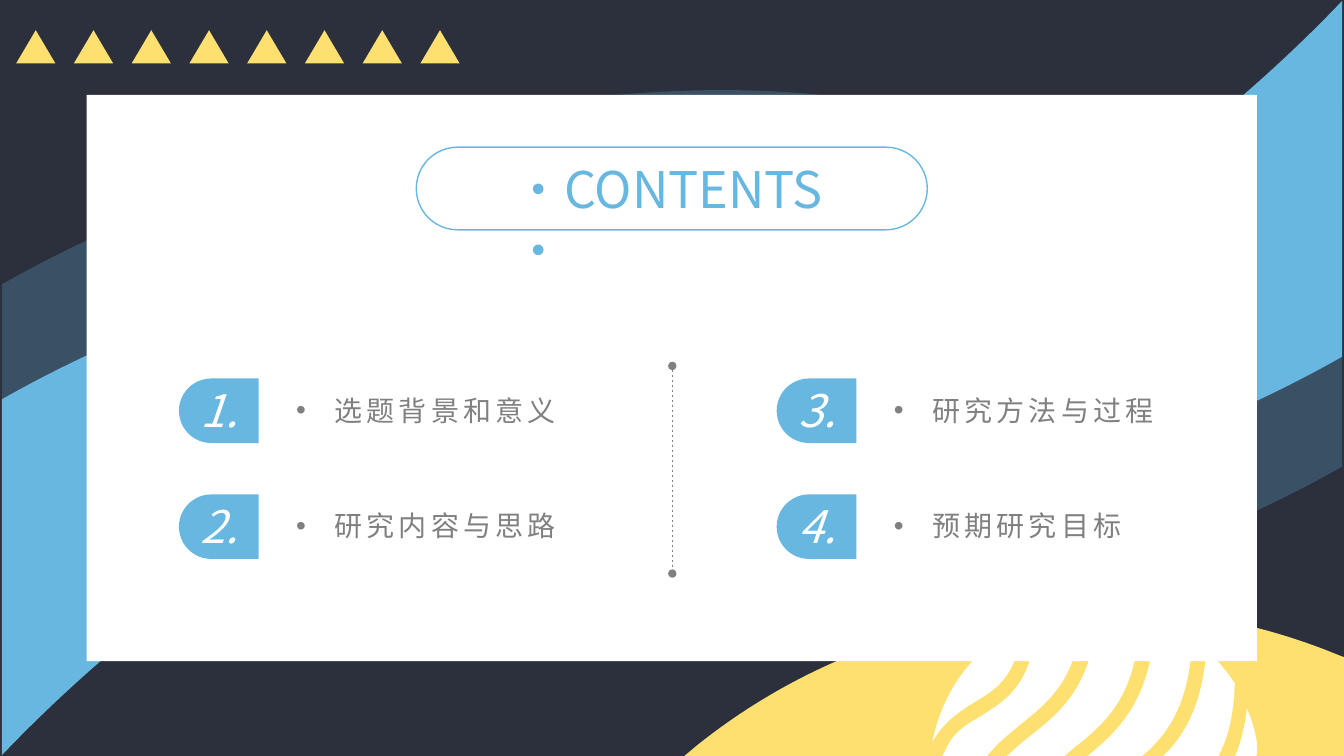
from lxml import etree
from pptx import Presentation
from pptx.dml.color import RGBColor
from pptx.enum.dml import MSO_LINE_DASH_STYLE as DASH
from pptx.enum.shapes import MSO_CONNECTOR as LINK, MSO_SHAPE as SHAPE
from pptx.enum.text import MSO_AUTO_SIZE as FIT, PP_ALIGN as ALIGN
from pptx.oxml.ns import qn
from pptx.util import Inches, Pt

DARK = RGBColor(0x2B, 0x30, 0x3C)
BLUE = RGBColor(0x68, 0xB7, 0xE1)
YELLOW = RGBColor(0xFE, 0xE0, 0x71)
WHITE = RGBColor(0xFF, 0xFF, 0xFF)
GREY = RGBColor(0x80, 0x80, 0x80)
WIDTH, HEIGHT = 40 / 3, 7.5

BAND_CENTER = (4.94, 4.76)
BAND = [(0, 3.97), (2.56, 2.51, 7.04, 1.37, 9.87, 2.5),
        (6.26, 2.94, 2.42, 4.96, 0, 7.5), (0, 3.97)]
HILL = [(WIDTH, 7.5), (6.79, 7.5), (6.91, 7.4), (7.98, 6.54, 9.36, 6.03, 10.86, 6.03),
        (11.72, 6.03, 12.53, 6.19, 13.28, 6.5), (WIDTH, 6.52)]
STRIPES = [
    [(9.25, 7.36), (9.35, 6.85, 9.67, 6.42, 10.13, 6.2),
     (10.1, 6.7, 9.9, 6.83, 9.66, 6.97), (9.52, 7.06, 9.36, 7.16, 9.25, 7.36)],
    [(9.79, 7.5), (9.35, 7.5), (9.41, 7.38), (9.49, 7.24, 9.62, 7.17, 9.74, 7.1),
     (9.99, 6.94, 10.27, 6.77, 10.27, 6.13), (10.42, 6.08, 10.58, 6.04, 10.74, 6.03),
     (10.7, 6.73, 10.42, 6.95, 10.12, 7.19), (10.04, 7.26, 9.96, 7.32, 9.89, 7.39)],
    [(10.56, 7.5), (9.99, 7.5), (10.09, 7.41), (10.13, 7.38, 10.17, 7.34, 10.21, 7.31),
     (10.53, 7.06, 10.85, 6.8, 10.89, 6.03), (11.04, 6.03, 11.18, 6.05, 11.31, 6.09),
     (11.29, 6.91, 10.97, 7.17, 10.63, 7.44)],
    [(11.33, 7.5), (10.79, 7.5), (10.85, 7.45), (11.15, 7.2, 11.43, 6.88, 11.46, 6.14),
     (11.59, 6.19, 11.71, 6.26, 11.83, 6.34), (11.8, 6.94, 11.62, 7.23, 11.39, 7.45)],
    [(12.09, 7.5), (11.54, 7.5), (11.6, 7.44), (11.79, 7.23, 11.93, 6.94, 11.97, 6.45),
     (12.08, 6.55, 12.17, 6.66, 12.25, 6.78), (12.24, 7.05, 12.2, 7.25, 12.13, 7.41)],
    [(12.46, 7.5), (12.25, 7.5), (12.26, 7.49), (12.31, 7.36, 12.35, 7.21, 12.37, 7.03),
     (12.42, 7.14, 12.45, 7.25, 12.47, 7.37), (12.47, 7.41, 12.47, 7.45, 12.47, 7.48)],
]
TOPICS = ["选题背景和意义", "研究内容与思路", "研究方法与过程", "预期研究目标"]


def pairs(seg):
    """Split a flat segment into its points."""
    return list(zip(seg[::2], seg[1::2]))


def flatten(outline, steps=16):
    """Sample an outline to find the space it covers, in EMU."""
    points = [outline[0]]
    for seg in outline[1:]:
        if len(seg) == 2:
            points.append(seg)
            continue
        curve = [points[-1], *pairs(seg)]
        for i in range(1, steps + 1):
            t = i / steps
            u = 1 - t
            weights = (u ** 3, 3 * u * u * t, 3 * u * t * t, t ** 3)
            points.append(tuple(sum(w * pt[k] for w, pt in zip(weights, curve))
                                for k in (0, 1)))
    return [(Inches(x), Inches(y)) for x, y in points]


def band(dy, turned):
    """Give the band laid on its side, shifted and optionally half turned."""
    def move(x, y):
        return (WIDTH - x, HEIGHT - y + dy) if turned else (x, y + dy)

    cx, cy = move(*BAND_CENTER)
    outline = []
    for seg in BAND:
        moved = [move(x, y) for x, y in pairs(seg)]
        outline.append(tuple(v for x, y in moved for v in (cx + y - cy, cy - x + cx)))
    return outline


class Deck:
    """Hold the text style and current slide, and draw elements on it."""

    face = "Noto Sans CJK SC"

    def __init__(self):
        self.prs = Presentation()
        self.prs.slide_width, self.prs.slide_height = Inches(WIDTH), Inches(HEIGHT)
        self.s = self.prs.slides.add_slide(self.prs.slide_layouts[6])

    def paint(self, sp, fill, line=None, opacity=None):
        """Apply fill, outline and opacity without a shadow."""
        sp.shadow.inherit = False
        sp.fill.solid()
        sp.fill.fore_color.rgb = fill
        if line is None:
            sp.line.fill.background()
        else:
            sp.line.color.rgb = line
            sp.line.width = Pt(1)
        if opacity is not None:
            clr = sp.fill._xPr.find(qn("a:solidFill"))[0]
            etree.SubElement(clr, qn("a:alpha"), val=str(opacity * 1000))

    def shape(self, kind, box, fill, line=None, adj=(), rotation=0):
        """Add a preset shape."""
        sp = self.s.shapes.add_shape(kind, *map(Inches, box))
        for i, value in enumerate(adj):
            sp.adjustments[i] = value
        sp.rotation = rotation
        self.paint(sp, fill, line)

    def free(self, outlines, fill, opacity=None, rotation=0):
        """Add one freeform made of closed outlines with true curves."""
        builder = self.s.shapes.build_freeform(*flatten(outlines[0])[0])
        for outline in outlines:
            start, *rest = flatten(outline)
            builder.move_to(*start)
            builder.add_line_segments(rest)
        sp = builder.convert_to_shape()
        curves = next(sp._element.iter(qn("a:path")))
        for child in list(curves):
            curves.remove(child)
        for outline in outlines:
            for i, seg in enumerate(outline):
                tag = "a:moveTo" if i == 0 else "a:lnTo" if len(seg) == 2 else "a:cubicBezTo"
                node = etree.SubElement(curves, qn(tag))
                for x, y in pairs(seg):
                    etree.SubElement(node, qn("a:pt"), x=str(Inches(x) - sp.left),
                                     y=str(Inches(y) - sp.top))
            etree.SubElement(curves, qn("a:close"))
        sp.rotation = rotation
        self.paint(sp, fill, opacity=opacity)

    def text(self, text, box, size, color, align=None, italic=None, spacing=0, bullet=False):
        """Add a one-paragraph text box."""
        tf = self.s.shapes.add_textbox(*map(Inches, box)).text_frame
        tf.word_wrap, tf.auto_size = True, FIT.SHAPE_TO_FIT_TEXT
        p = tf.paragraphs[0]
        p.alignment = align
        if bullet:
            pPr = p._p.get_or_add_pPr()
            pPr.set("marL", str(Inches(0.38)))
            pPr.set("indent", str(Inches(-0.38)))
            etree.SubElement(pPr, qn("a:buFont"), typeface="Arial")
            etree.SubElement(pPr, qn("a:buChar"), char="•")
        r = p.add_run()
        r.text = text
        for name, value in {"name": self.face, "size": Pt(size), "italic": italic}.items():
            setattr(r.font, name, value)
        r.font.color.rgb = color
        rPr = r._r.get_or_add_rPr()
        etree.SubElement(rPr, qn("a:ea"), typeface=self.face)
        if spacing:
            rPr.set("spc", str(spacing * 100))

    def divider(self, x, top, bottom):
        """Add a dashed vertical line with round ends."""
        c = self.s.shapes.add_connector(LINK.STRAIGHT, *map(Inches, (x, top, x, bottom)))
        for name, value in {"width": Pt(0.5), "dash_style": DASH.DASH}.items():
            setattr(c.line, name, value)
        c.line.color.rgb = GREY
        ln = c.line._get_or_add_ln()
        for end in ("a:headEnd", "a:tailEnd"):
            etree.SubElement(ln, qn(end), type="oval")
        etree.SubElement(c._element.spPr, qn("a:effectLst"))


def main():
    """Build the contents slide."""
    deck = Deck()
    deck.shape(SHAPE.RECTANGLE, (0, 0, WIDTH, HEIGHT), DARK)
    for dy, turned, opacity in [(1.09, True, 25), (-1.14, False, 25),
                                (0, True, None), (0, False, None)]:
        deck.free([band(dy, turned)], BLUE, opacity, rotation=90)
    deck.free([HILL], YELLOW)
    deck.free(STRIPES, WHITE)
    deck.shape(SHAPE.RECTANGLE, (0.86, 0.94, 11.61, 5.62), WHITE)
    for i in range(8):
        deck.shape(SHAPE.ISOSCELES_TRIANGLE, (0.16 + i * 4.01 / 7, 0.3, 0.39, 0.33), YELLOW)

    for i, topic in enumerate(TOPICS):
        col, row = divmod(i, 2)
        x, y = 1.61 + col * 5.93, 3.68 + row * 1.15
        deck.shape(SHAPE.ROUND_2_SAME_RECTANGLE, (x + 0.24, y, 0.64, 0.79), BLUE,
                   adj=(0.5, 0), rotation=270)
        deck.text(topic, (x + 1.23, y + 0.17, 3.37 - col * 0.18, 0.44), 20, GREY,
                  spacing=3, bullet=True)
        deck.text(f"{i + 1}.", (x, y + 0.07, 1.13, 0.64), 32, WHITE, ALIGN.CENTER, True)

    deck.divider(6.67, 3.63, 5.69)
    deck.shape(SHAPE.ROUNDED_RECTANGLE, (4.13, 1.46, 5.07, 0.82), WHITE, BLUE, (0.5,))
    deck.text("·CONTENTS·", (5, 1.52, 3.34, 0.71), 36, BLUE, ALIGN.JUSTIFY)
    deck.prs.save("out.pptx")


if __name__ == "__main__":
    main()
